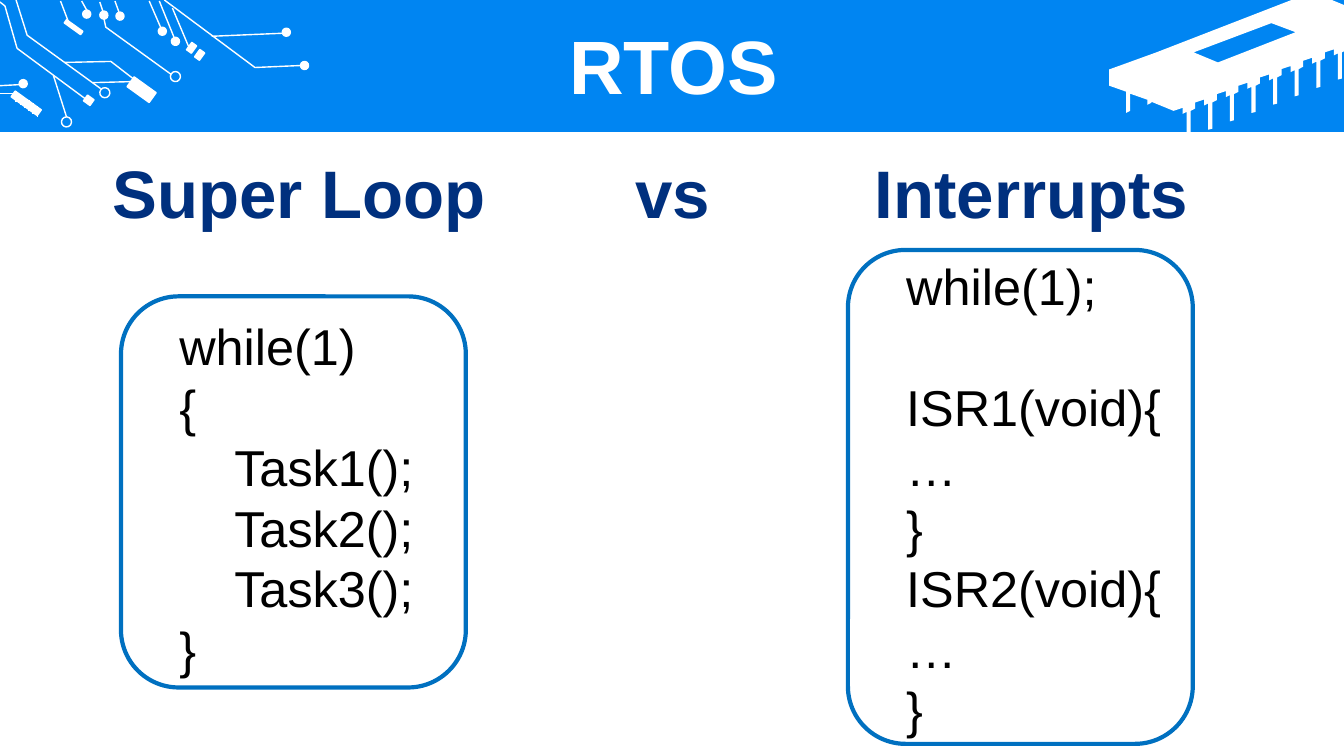
from dataclasses import dataclass

from lxml import etree
from pptx import Presentation
from pptx.dml.color import RGBColor
from pptx.enum.shapes import MSO_CONNECTOR, MSO_SHAPE
from pptx.enum.text import MSO_ANCHOR, MSO_AUTO_SIZE, PP_ALIGN
from pptx.oxml.ns import qn
from pptx.util import Inches, Pt

RECTANGLE = MSO_SHAPE.RECTANGLE
OVAL = MSO_SHAPE.OVAL
ROUNDED = MSO_SHAPE.ROUNDED_RECTANGLE
STRAIGHT = MSO_CONNECTOR.STRAIGHT
TOP, MIDDLE = MSO_ANCHOR.TOP, MSO_ANCHOR.MIDDLE
CENTER = PP_ALIGN.CENTER
NO_AUTOFIT = MSO_AUTO_SIZE.NONE


@dataclass(frozen=True)
class Theme:
    font: str = "Arial"
    banner: RGBColor = RGBColor(0x00, 0x85, 0xF2)
    white: RGBColor = RGBColor(0xFF, 0xFF, 0xFF)
    heading: RGBColor = RGBColor(0x00, 0x30, 0x7E)
    code: RGBColor = RGBColor(0x00, 0x00, 0x00)
    frame: RGBColor = RGBColor(0x00, 0x70, 0xC0)
    title_size: Pt = Pt(54)
    heading_size: Pt = Pt(48)
    code_size: Pt = Pt(36)
    code_pitch: Pt = Pt(43.2)


theme = Theme()


def paint(shape, fill=None, line=None, width=1):
    """Set fill and outline; None means none."""
    shape.shadow.inherit = False
    if fill is None:
        shape.fill.background()
    else:
        shape.fill.solid()
        shape.fill.fore_color.rgb = fill
    if line is None:
        shape.line.fill.background()
    else:
        shape.line.color.rgb = line
        shape.line.width = Pt(width)


def add_styled_run(paragraph, text, size, color, bold=False):
    run = paragraph.add_run()
    run.text = text
    run.font.name = theme.font
    run.font.size = size
    run.font.bold = bold
    run.font.color.rgb = color


presentation = Presentation()
presentation.slide_width = Inches(13.33)
presentation.slide_height = Inches(7.5)
slide = presentation.slides.add_slide(presentation.slide_layouts.get_by_name("Title Only"))
shapes = slide.shapes

banner = shapes.add_shape(RECTANGLE, 0, 0, Inches(13.33), Inches(1.31))
paint(banner, fill=theme.banner)

# Chip: window, then an outline whose eight pins repeat at a fixed step
chip_window = [(12.61, 0.23), (11.84, 0.52), (12.08, 0.62), (12.85, 0.32)]
pin = [(13.31, 0.52), (13.31, 0.78), (13.27, 0.79), (13.27, 0.53),
       (13.23, 0.55), (13.23, 0.49), (13.14, 0.52), (13.14, 0.58)]
pins = [(x - 1.5 / 7 * i, y + 0.58 / 7 * i) for i in range(8) for x, y in pin]
chip_outline = [(12.81, 0), (13.21, 0), (13.33, 0.05), (13.33, 0.51), *pins[:-1],
                (11.42, 1.01), (11.42, 1.02), (11.38, 1.04), (11.38, 0.99),
                (11.21, 0.93), (11.21, 1.1), (11.17, 1.12), (11.17, 0.91),
                (11, 0.85), (11, 0.69), (11.47, 0.52)]
window, outline = [[(Inches(x), Inches(y)) for x, y in points]
                   for points in (chip_window, chip_outline)]
builder = shapes.build_freeform(*window[0])
builder.add_line_segments(window[1:], close=True)
builder.move_to(*outline[0])
builder.add_line_segments(outline[1:], close=True)
paint(builder.convert_to_shape(), fill=theme.white)

# Circuit pads: left, top, width, height
pads = [(1.27, 0.83, 0.27, 0.12), (0.63, 0.25, 0.2, 0.04), (0.84, 0.96, 0.08, 0.07),
        (1.87, 0.43, 0.06, 0.09), (1.95, 0.5, 0.06, 0.09), (0.1, 0.99, 0.32, 0.07)]
dots = [(2.98, 0.61), (2.8, 0.28), (0.82, 0.1), (0.99, 0.11),
        (1.15, 0.12), (0.19, 0.79), (1.7, 0.37), (1.57, 0.27)]
rings = [(1.69, 0.71), (0.99, 0.87), (0.61, 1.16)]
circuit_parts = (
    [(RECTANGLE, pad, theme.white) for pad in pads]
    + [(OVAL, (x, y, 0.08, 0.08), theme.white) for x, y in dots]
    + [(OVAL, (x, y, 0.1, 0.1), None) for x, y in rings])
for kind, bounds, fill in circuit_parts:
    part = shapes.add_shape(kind, *map(Inches, bounds))
    part.rotation = 35.7
    paint(part, fill=fill, line=theme.white)

# Circuit traces
straight_traces = [
    (0.6, 0.01, 0.68, 0.22), (0.81, 0.01, 0.86, 0.1), (0.99, 0.02, 1.02, 0.11),
    (1.14, 0.01, 1.18, 0.12), (1.48, 0.01, 1.61, 0.31), (1.58, 0.01, 1.73, 0.38),
    (2.1, 0.36, 2.8, 0.33), (1.71, 0.08, 1.87, 0.46), (0, 0.85, 0.19, 0.84),
    (0, 0.93, 0.14, 0.93), (0.53, 0.75, 0.66, 1.16), (0.92, 0.82, 1.3, 0.81)]
pad_teeth = [(0.16 + 0.042 * i, 1.01 + 0.03 * i, 0.16 + 0.042 * i, 0.9 + 0.03 * i)
             for i in range(6)]
for ends in straight_traces + pad_teeth:
    trace = shapes.add_connector(STRAIGHT, *map(Inches, ends))
    trace.line.color.rgb = theme.white
    trace.line.width = Pt(1)
    etree.SubElement(trace._element.spPr, qn("a:effectLst"))

bent_traces = [
    [(1.63, 0), (2.53, 0.67), (2.99, 0.65)],
    [(0.16, 0), (0.27, 0.35), (1, 0.88)],
    [(0, 0.02), (0.05, 0.06), (0.17, 0.48), (0.86, 0.99)],
    [(0.64, 0.62), (1.1, 0.61), (1.32, 0.78)],
    [(1.03, 0.18), (1.05, 0.27), (1.7, 0.74)]]
for trace_points in bent_traces:
    points = [(Inches(x), Inches(y)) for x, y in trace_points]
    builder = shapes.build_freeform(*points[0])
    builder.add_line_segments(points[1:], close=False)
    paint(builder.convert_to_shape(), line=theme.white)

# Title, brought in front of the banner
title = shapes.title
title.left, title.top, title.width, title.height = map(Inches, (0.35, 0.3, 12.66, 0.79))
title.text_frame.auto_size = NO_AUTOFIT
title.text_frame.vertical_anchor = MIDDLE
paragraph = title.text_frame.paragraphs[0]
paragraph.alignment = CENTER
paragraph.line_spacing = 0.9
add_styled_run(paragraph, "RTOS", theme.title_size, theme.white, bold=True)
shapes._spTree.append(title._element)

# Headings on tab stops
headings = shapes.add_textbox(Inches(0.02), Inches(1.45), Inches(13.33), Inches(0.91))
headings.text_frame.word_wrap = True
paragraph = headings.text_frame.paragraphs[0]
tab_list = etree.SubElement(paragraph._p.get_or_add_pPr(), qn("a:tabLst"))
for position in (1, 6.18, 8.56):
    etree.SubElement(tab_list, qn("a:tab"), pos=str(Inches(position)), algn="l")
add_styled_run(paragraph, "\tSuper Loop\tvs\tInterrupts",
               theme.heading_size, theme.heading, bold=True)

# Code listings: text box, frame, lines
listings = [
    ((1.68, 3.08, 4.14, 3.74), (1.2, 2.94, 3.42, 3.88),
     ["while(1)", "{", "    Task1();", "    Task2();", "    Task3();", "}"]),
    ((8.89, 2.48, 4.14, 4.9), (8.41, 2.48, 3.42, 4.9),
     ["while(1);", "ISR1(void){", "…", "}", "ISR2(void){", "…", "}"])]
for text_bounds, frame_bounds, code_lines in listings:
    listing = shapes.add_textbox(*map(Inches, text_bounds))
    text_frame = listing.text_frame
    text_frame.word_wrap = True
    text_frame.vertical_anchor = TOP
    for index, code_line in enumerate(code_lines):
        paragraph = text_frame.add_paragraph() if index else text_frame.paragraphs[0]
        paragraph.line_spacing = theme.code_pitch
        if code_line.startswith("ISR1"):
            paragraph.space_before = theme.code_pitch
        add_styled_run(paragraph, code_line, theme.code_size, theme.code)
    frame = shapes.add_shape(ROUNDED, *map(Inches, frame_bounds))
    frame.adjustments[0] = 0.167
    paint(frame, line=theme.frame, width=3)

presentation.save("out.pptx")
